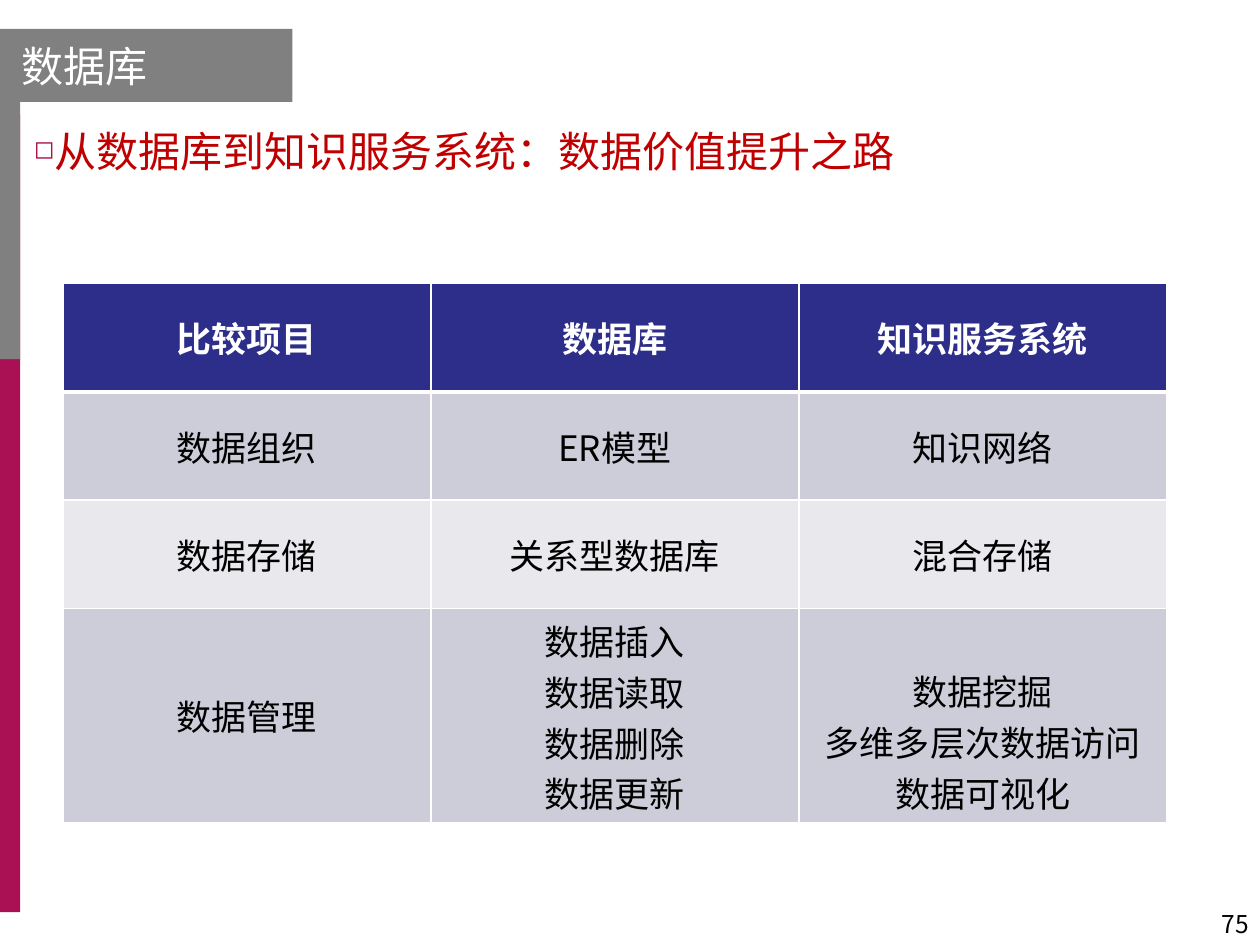
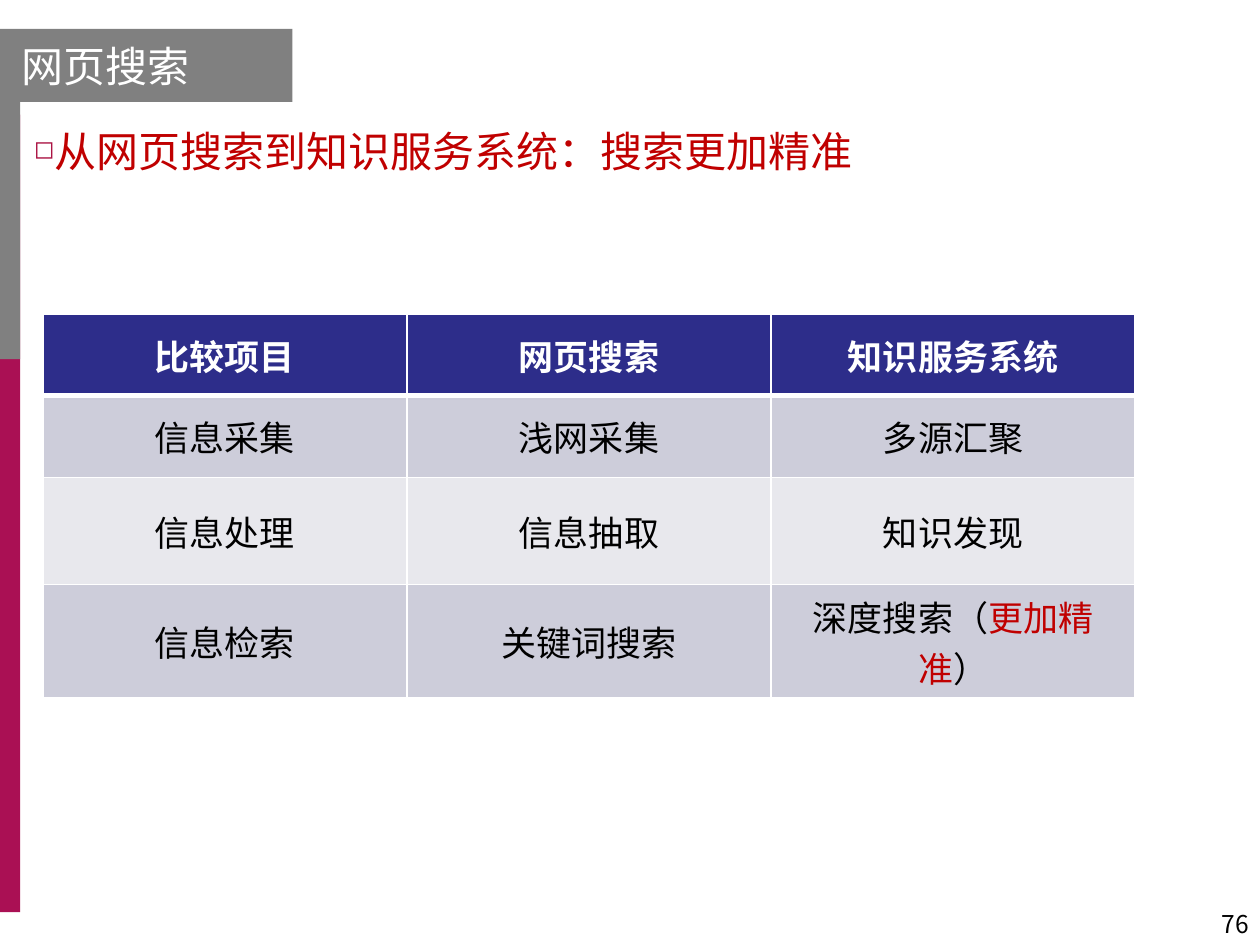
from lxml import etree
from pptx import Presentation
from pptx import util as u
from pptx.dml import color as dml
from pptx.enum import shapes, text
from pptx.oxml import ns

FONT = "Noto Sans CJK SC"
WHITE, BLACK, GRAY = "FFFFFF", "000000", "808080"
WINE, PINK, RED = "AA1054", "AB1343", "C00000"
NAVY, BANDS = "2D2D8A", ("E8E8ED", "CDCDDA")
LEFT, MID, RIGHT = text.PP_ALIGN.LEFT, text.PP_ALIGN.CENTER, text.PP_ALIGN.RIGHT
LINE = 0.4


def rgb(code):
    """Turn a hex string into a colour."""
    return dml.RGBColor.from_string(code)


def node(parent, tag, **attrs):
    """Append a drawing element to its parent."""
    return etree.SubElement(parent, ns.qn("a:" + tag), attrs)


class Deck:
    """Hold the style and the current slide."""

    def __init__(self):
        """Start an empty deck."""
        self.prs = Presentation()
        self.prs.slide_width, self.prs.slide_height = u.Inches(10), u.Inches(7.5)
        self.slide = None

    def page(self, title, number):
        """Add a slide with side bands, title and page number."""
        self.slide = self.prs.slides.add_slide(self.prs.slide_layouts[6])
        self.band(0, 0.91, 0.16, 6.33, WINE)
        self.band(0, 0.25, 0.16, 2.6, GRAY)
        frame = self.band(0, 0.23, 2.32, 0.58, GRAY).text_frame
        frame.margin_left = u.Inches(0.17)
        frame.vertical_anchor = text.MSO_ANCHOR.MIDDLE
        self.put(frame.paragraphs[0], title, 24, WHITE)
        frame = self.box(7.68, 6.98, 2.33, 0.52)
        frame.vertical_anchor = text.MSO_ANCHOR.BOTTOM
        self.put(frame.paragraphs[0], str(number), 14, BLACK, RIGHT)

    def band(self, x, y, w, h, fill):
        """Draw a plain rectangle."""
        rect = self.slide.shapes.add_shape(
            shapes.MSO_SHAPE.RECTANGLE, *map(u.Inches, (x, y, w, h)))
        rect.shadow.inherit = False
        rect.fill.solid()
        rect.fill.fore_color.rgb = rgb(fill)
        rect.line.fill.background()
        return rect

    def box(self, x, y, w, h):
        """Add a wrapping text box and return its frame."""
        frame = self.slide.shapes.add_textbox(*map(u.Inches, (x, y, w, h))).text_frame
        frame.word_wrap = True
        return frame

    def put(self, par, words, size, ink, align=LEFT, bold=False):
        """Fill a paragraph with a string or with (words, ink) pairs."""
        par.alignment = align
        font = par.font
        font.size, font.bold, font.name = u.Pt(size), bold, FONT
        font.color.rgb = rgb(ink)
        node(par._p.pPr.find(ns.qn("a:defRPr")), "ea", typeface=FONT)
        for part, tint in [(words, None)] if isinstance(words, str) else words:
            run = par.add_run()
            run.text = part
            if tint:
                run.font.color.rgb = rgb(tint)

    def point(self, words):
        """Add the red lead line with its square bullet."""
        par = self.box(0.17, 0.85, 8.48, 1.01).paragraphs[0]
        par.line_spacing, par.space_after = 1.25, u.Pt(6)
        props = par._p.get_or_add_pPr()
        props.set("marL", "0")
        props.set("indent", str(-u.Inches(0.38)))
        node(node(props, "buClr"), "srgbClr", val=PINK)
        node(props, "buSzPct", val="60000")
        node(props, "buChar", char="◻")
        self.put(par, words, 24, RED)

    def rule(self, cell, top, low):
        """Draw white borders round a cell."""
        props = cell._tc.get_or_add_tcPr()
        for side, width in zip("LRTB", (1, 1, top, low)):
            edge = node(props, "ln" + side, w=str(u.Pt(width)))
            node(node(edge, "solidFill"), "srgbClr", val=WHITE)

    def grid(self, x, y, col, highs, rows):
        """Add a banded table with equal columns; a cell may hold many lines."""
        wide = len(rows[0])
        table = self.slide.shapes.add_table(
            len(rows), wide, *map(u.Inches, (x, y, col * wide, sum(highs)))).table
        for column in table.columns:
            column.width = u.Inches(col)
        for i, (row, high) in enumerate(zip(rows, highs)):
            table.rows[i].height = u.Inches(high)
            head = i == 0
            for j, lines in enumerate(row):
                cell = table.cell(i, j)
                self.rule(cell, 3 if i == 1 else 1, 3 if head else 1)
                cell.fill.solid()
                cell.fill.fore_color.rgb = rgb(NAVY if head else BANDS[i % 2])
                cell.vertical_anchor = text.MSO_ANCHOR.MIDDLE
                frame = cell.text_frame
                for k, words in enumerate(lines if isinstance(lines, list) else [lines]):
                    par = frame.add_paragraph() if k else frame.paragraphs[0]
                    self.put(par, words, 20, WHITE if head else BLACK, MID, head)
        return table


def main():
    """Build both slides."""
    deck = Deck()
    deck.page("数据库", 75)
    deck.point("从数据库到知识服务系统：数据价值提升之路")
    table = deck.grid(0.5, 2.25, 2.92, (0.86, 0.86, 0.86, 1.7), [
        ("比较项目", "数据库", "知识服务系统"),
        ("数据组织", "ER模型", "知识网络"),
        ("数据存储", "关系型数据库", "混合存储"),
        ("数据管理",
         ["数据插入", "数据读取", "数据删除", "数据更新"],
         ["数据挖掘", "多维多层次数据访问", "数据可视化"]),
    ])
    table.cell(3, 2).margin_top = u.Inches(0.05 + LINE)

    deck.page("网页搜索", 76)
    deck.point("从网页搜索到知识服务系统：搜索更加精准")
    deck.grid(0.34, 2.49, 2.89, (0.65, 0.65, 0.85, 0.9), [
        ("比较项目", "网页搜索", "知识服务系统"),
        ("信息采集", "浅网采集", "多源汇聚"),
        ("信息处理", "信息抽取", "知识发现"),
        ("信息检索", "关键词搜索",
         [(("深度搜索（", None), ("更加精准", RED), ("）", None))]),
    ])
    deck.prs.save("out.pptx")


if __name__ == "__main__":
    main()
